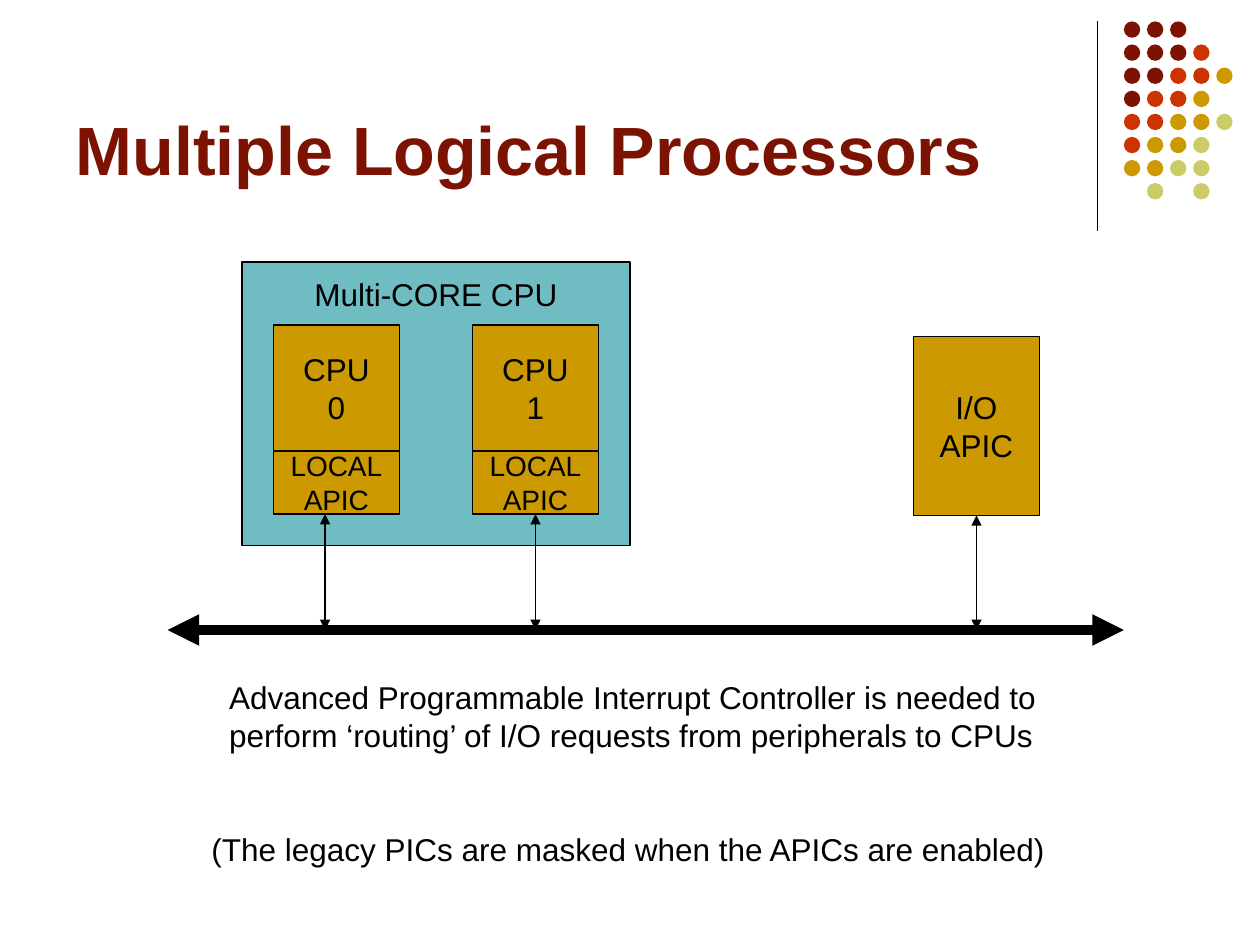
"""Build a slide on interrupt routing between logical processors."""
import lxml.etree
import pptx
import pptx.dml.color
import pptx.enum.shapes
import pptx.enum.text
import pptx.oxml.ns
import pptx.util

Inches = pptx.util.Inches
hue = pptx.dml.color.RGBColor.from_string
kinds = pptx.enum.shapes.MSO_SHAPE
aligns = pptx.enum.text.PP_ALIGN
anchors = pptx.enum.text.MSO_ANCHOR
qn = pptx.oxml.ns.qn


def write(frame, text, size, align, color="000000", bold=False):
    """Fill a text frame and format all its runs."""
    frame.text = text
    for para in frame.paragraphs:
        para.alignment = align
        for run in para.runs:
            run.font.name = "Arial"
            run.font.size = pptx.util.Pt(size)
            run.font.bold = bold
            run.font.color.rgb = hue(color)


def link(start, end, width=0.75, heads=True):
    """Draw a straight black line, with arrowheads at both ends if asked."""
    line = slide.shapes.add_connector(
        pptx.enum.shapes.MSO_CONNECTOR.STRAIGHT,
        *[Inches(v) for v in start + end])
    line.line.color.rgb = hue("000000")
    line.line.width = pptx.util.Pt(width)
    for tag in ("a:headEnd", "a:tailEnd") if heads else ():
        lxml.etree.SubElement(line.line._get_or_add_ln(), qn(tag), type="triangle")
    lxml.etree.SubElement(line._element.spPr, qn("a:effectLst"))
    return line


deck = pptx.Presentation()
deck.slide_width, deck.slide_height = Inches(10), Inches(7.5)
slide = deck.slides.add_slide(deck.slide_layouts[5])

link((8.71, 0.17), (8.71, 1.83), heads=False)
tones = {"R": "7C1302", "O": "CC3300", "G": "CC9900", "Y": "CCCC66"}
rows = ["RRR", "RRRO", "RROOG", "ROOG", "OOGGY", "OGGY", "GGYY", " Y Y"]
pitch = 0.55 / 3
for row, marks in enumerate(rows):
    for col, mark in enumerate(marks):
        if mark in tones:
            dot = slide.shapes.add_shape(
                kinds.OVAL, Inches(8.92 + col * pitch), Inches(0.17 + row * pitch),
                Inches(0.13), Inches(0.13))
            dot.shadow.inherit = False
            dot.fill.solid()
            dot.fill.fore_color.rgb = hue(tones[mark])
            dot.line.fill.background()

title = slide.shapes.title
title.left, title.top = Inches(0.5), Inches(0.13)
title.width, title.height = Inches(8.25), Inches(1.42)
title.text_frame.vertical_anchor = anchors.BOTTOM
write(title.text_frame, "Multiple Logical Processors", 39, aligns.LEFT, "7C1302", True)

boxes = {}
for name, text, size, fill, *at in [
    ("chip", "Multi-CORE CPU", 18, "6FBDC3", 1.92, 2.08, 3.08, 2.25),
    ("core 0", "CPU\n0", 18, "CC9900", 2.17, 2.58, 1, 1),
    ("core 1", "CPU\n1", 18, "CC9900", 3.75, 2.58, 1, 1),
    ("hub", "I/O\nAPIC", 18, "CC9900", 7.25, 2.67, 1, 1.42),
    ("local 0", "LOCAL\nAPIC", 16, "CC9900", 2.17, 3.58, 1, 0.5),
    ("local 1", "LOCAL\nAPIC", 16, "CC9900", 3.75, 3.58, 1, 0.5),
]:
    box = slide.shapes.add_shape(kinds.RECTANGLE, *[Inches(v) for v in at])
    box.shadow.inherit = False
    box.fill.solid()
    box.fill.fore_color.rgb = hue(fill)
    box.line.color.rgb = hue("000000")
    box.line.width = pptx.util.Pt(0.75)
    box.text_frame.word_wrap = False
    box.text_frame.vertical_anchor = anchors.MIDDLE
    write(box.text_frame, text, size, aligns.CENTER)
    boxes[name] = box
boxes["chip"].text_frame.vertical_anchor = anchors.TOP
boxes["chip"].text_frame.margin_top = Inches(0.1)

link((1.33, 5), (8.92, 5), 6)
link((2.58, 4.08), (2.58, 5))
for x, name in (4.25, "local 1"), (7.75, "hub"):
    link((x, 4.08), (x, 5)).begin_connect(boxes[name], 2)

note = slide.shapes.add_textbox(Inches(1.58), Inches(5.33), Inches(6.83), Inches(1.6))
frame = note.text_frame
frame.word_wrap = True
frame.margin_right = 0
write(frame, "Advanced Programmable Interrupt Controller is needed to\n"
      "perform ‘routing’ of I/O requests from peripherals to CPUs\n"
      "(The legacy PICs are masked when the APICs are enabled)", 18, aligns.LEFT)
for para in frame.paragraphs[:2]:
    para._p.get_or_add_pPr().set("marL", str(Inches(0.14)))
frame.paragraphs[2].space_before = pptx.util.Pt(44)

deck.save("out.pptx")
